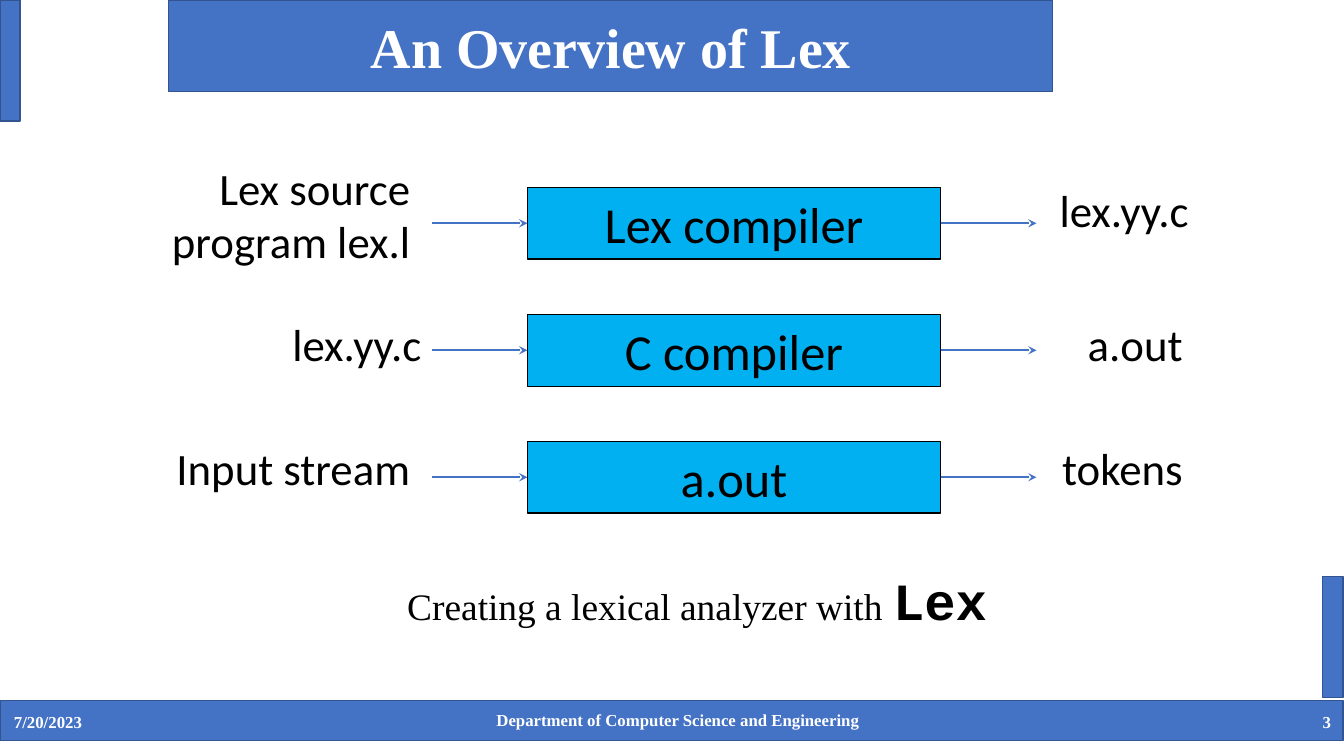
from lxml import etree
from pptx import Presentation
from pptx.dml.color import RGBColor
from pptx.enum.shapes import MSO_CONNECTOR, MSO_SHAPE
from pptx.enum.text import MSO_ANCHOR, PP_ALIGN
from pptx.oxml.ns import qn
from pptx.util import Inches, Pt

LEFT, CENTER, RIGHT = PP_ALIGN.LEFT, PP_ALIGN.CENTER, PP_ALIGN.RIGHT
TOP, MIDDLE = MSO_ANCHOR.TOP, MSO_ANCHOR.MIDDLE
RECTANGLE, STRAIGHT = MSO_SHAPE.RECTANGLE, MSO_CONNECTOR.STRAIGHT
LEFT_SIDE, RIGHT_SIDE = 1, 3

BLUE = RGBColor(0x44, 0x72, 0xC4)
DARK_BLUE = RGBColor(0x32, 0x54, 0x91)
CYAN = RGBColor(0x00, 0xB0, 0xF0)
BLACK = RGBColor(0x00, 0x00, 0x00)
WHITE = RGBColor(0xFF, 0xFF, 0xFF)

SERIF, SANS, MONO = "Times New Roman", "Calibri", "Courier New"

BARS = [(0, 6.95, 13.32, 0.4), (0, 0, 0.2, 1.2), (1.67, 0, 8.77, 0.91), (13.12, 5.72, 0.2, 1.2)]
FOOTERS = [
    ("7/20/2023", (0.04, 7.01, 3, 0.4), LEFT),
    ("3", (10.3, 7.01, 3, 0.4), RIGHT),
    ("Department of Computer Science and Engineering", (3.98, 6.99, 5.49, 0.3), CENTER),
]
# Each stage: input and its place, tool, output and its place
STAGES = [
    ("Lex source program lex.l", (1.34, 1.53, 2.84, 1.19),
     "Lex compiler", "lex.yy.c", (9.06, 1.75, 2.84, 0.65)),
    ("lex.yy.c", (1.24, 3.08, 3.05, 0.65), "C compiler", "a.out", (8.79, 3.08, 3.05, 0.65)),
    ("Input stream", (1.13, 4.31, 3.05, 0.65), "a.out", "tokens", (8.79, 4.31, 3.05, 0.65)),
]
TOOL_LEFT, TOOL_TOP, TOOL_WIDTH, TOOL_HEIGHT = 5.23, 1.86, 4.1, 0.71
TOOL_PITCH = 1.26
ARROW_LENGTH = 0.95


class SlideBuilder:
    def __init__(self, page):
        self.page = page

    def rectangle(self, place, fill, outline, width):
        box = self.page.shapes.add_shape(RECTANGLE, *map(Inches, place))
        box.shadow.inherit = False
        box.fill.solid()
        box.fill.fore_color.rgb = fill
        box.line.color.rgb = outline
        box.line.width = Pt(width)
        return box

    def set_text(self, box, text, size, font, color, align, bold=False):
        para = box.text_frame.paragraphs[0]
        para.text = text
        para.alignment = align
        para.font.size = Pt(size)
        para.font.name = font
        para.font.color.rgb = color
        para.font.bold = bold
        return para

    def pad(self, frame):
        frame.margin_left = frame.margin_right = Inches(0.11)
        frame.margin_top = frame.margin_bottom = Inches(0.06)

    def text_box(self, place, anchor=TOP):
        box = self.page.shapes.add_textbox(*map(Inches, place))
        box.text_frame.word_wrap = True
        box.text_frame.vertical_anchor = anchor
        return box

    def label(self, text, place):
        box = self.text_box(place)
        self.pad(box.text_frame)
        self.set_text(box, text, 32, SANS, BLACK, RIGHT)

    def tool(self, text, top):
        box = self.rectangle((TOOL_LEFT, top, TOOL_WIDTH, TOOL_HEIGHT), CYAN, BLACK, 0.75)
        box.text_frame.word_wrap = False
        box.text_frame.vertical_anchor = MIDDLE
        self.pad(box.text_frame)
        self.set_text(box, text, 36, SANS, BLACK, CENTER)
        return box

    def arrow(self, start, y):
        arrow = self.page.shapes.add_connector(
            STRAIGHT, Inches(start), Inches(y), Inches(start + ARROW_LENGTH), Inches(y))
        arrow.line.color.rgb = BLUE
        arrow.line.width = Pt(1.5)
        properties = arrow.element.spPr
        etree.SubElement(properties.find(qn("a:ln")), qn("a:tailEnd"), type="stealth")
        etree.SubElement(properties, qn("a:effectLst"))
        return arrow

    def stage(self, source, source_place, tool_name, result, result_place, top):
        """Draw one row: input label, arrow, tool, arrow, output label."""
        self.label(source, source_place)
        self.label(result, result_place)
        tool = self.tool(tool_name, top)
        middle = top + TOOL_HEIGHT / 2
        self.arrow(TOOL_LEFT - ARROW_LENGTH, middle).end_connect(tool, LEFT_SIDE)
        self.arrow(TOOL_LEFT + TOOL_WIDTH, middle).begin_connect(tool, RIGHT_SIDE)

    def caption(self, text, code, place):
        para = self.set_text(self.text_box(place), text, 26.7, SERIF, BLACK, LEFT)
        span = para.add_run()
        span.text = code
        span.font.size = Pt(37.3)
        span.font.name = MONO
        span.font.bold = True


def main():
    deck = Presentation()
    deck.slide_width, deck.slide_height = Inches(13.33), Inches(7.5)
    builder = SlideBuilder(deck.slides.add_slide(deck.slide_layouts[6]))

    for place in BARS:
        builder.rectangle(place, BLUE, DARK_BLUE, 1)
    title = builder.text_box((1.68, 0.07, 8.76, 0.85), MIDDLE)
    heading = builder.set_text(title, "An Overview of Lex", 40, SERIF, WHITE, CENTER, True)
    heading.line_spacing = 0.9

    for row, stage in enumerate(STAGES):
        builder.stage(*stage, top=TOOL_TOP + row * TOOL_PITCH)
    builder.caption("Creating a lexical analyzer with ", "Lex", (3.94, 5.59, 6.67, 0.73))

    for text, place, align in FOOTERS:
        builder.set_text(builder.text_box(place), text, 12, SERIF, WHITE, align, True)
    deck.save("out.pptx")


if __name__ == "__main__":
    main()
